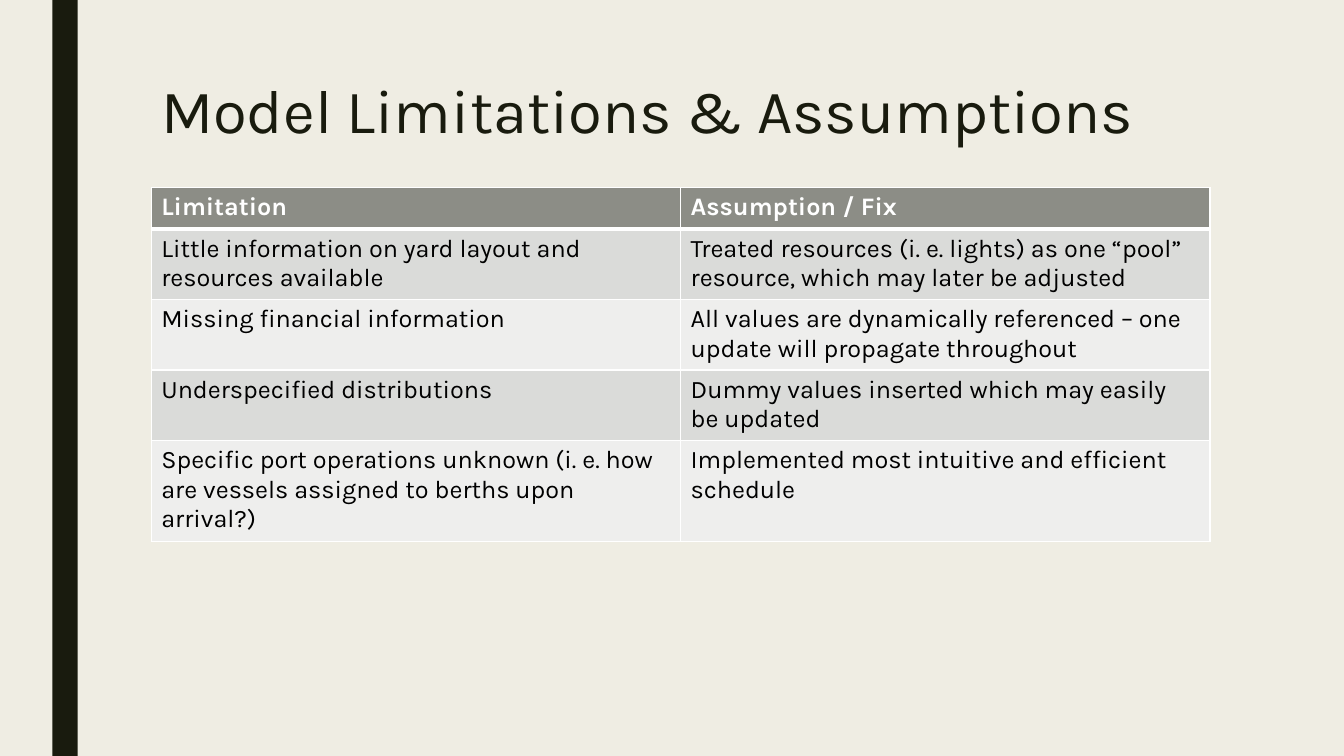
from dataclasses import dataclass

from lxml.etree import SubElement
from pptx import Presentation
from pptx.dml.color import RGBColor as RGB
from pptx.enum.shapes import MSO_SHAPE as Shape
from pptx.enum.text import MSO_ANCHOR as Anchor
from pptx.oxml.ns import qn
from pptx.util import Inches, Pt


@dataclass(frozen=True)
class Theme:
    font: str = "Karla"
    title_size: int = 44
    table_size: int = 18
    background: str = "EFEDE3"
    dark: str = "191B0E"
    header: str = "8C8D86"
    bands: tuple = ("DADBD9", "EEEEED")
    border: str = "FFFFFF"
    header_text: str = "FFFFFF"
    body_text: str = "000000"


THEME = Theme()

ROWS = [
    ("Limitation", "Assumption / Fix"),
    ("Little information on yard layout and resources available",
     "Treated resources (i. e. lights) as one “pool” resource, which may later be adjusted"),
    ("Missing financial information",
     "All values are dynamically referenced – one update will propagate throughout"),
    ("Underspecified distributions",
     "Dummy values inserted which may easily be updated"),
    ("Specific port operations unknown (i. e. how are vessels assigned to berths upon arrival?)",
     "Implemented most intuitive and efficient schedule"),
]


def style_text(tf, size, color, bold=False):
    for p in tf.paragraphs:
        for r in p.runs:
            r.font.name = THEME.font
            r.font.size = Pt(size)
            r.font.bold = bold
            r.font.color.rgb = RGB.from_string(color)


def add_side_bar(s):
    bar = s.shapes.add_shape(Shape.RECTANGLE, Inches(0.52), 0, Inches(0.25), Inches(7.5))
    bar.shadow.inherit = False
    bar.fill.solid()
    bar.fill.fore_color.rgb = RGB.from_string(THEME.dark)
    bar.line.fill.background()


def add_title(s, text):
    box = s.shapes.add_textbox(Inches(1.5), Inches(0.75), Inches(10.5), Inches(1.62))
    tf = box.text_frame
    tf.word_wrap = True
    tf.vertical_anchor = Anchor.TOP
    tf.text = text
    tf.paragraphs[0].line_spacing = 0.89
    style_text(tf, THEME.title_size, THEME.dark)


def set_borders(cell, **widths):
    """Draw the cell's edges (L, R, T, B) at the given widths in points."""
    tc_pr = cell._tc.get_or_add_tcPr()
    for side, width in widths.items():
        ln = SubElement(tc_pr, qn(f"a:ln{side}"), w=str(Pt(width)))
        fill = SubElement(ln, qn("a:solidFill"))
        SubElement(fill, qn("a:srgbClr"), val=THEME.border)


def add_table(s, rows):
    """Add a table with a bold header row and banded body rows."""
    row_height = Inches(0.41)
    frame = s.shapes.add_table(len(rows), len(rows[0]), Inches(1.5), Inches(1.86),
                               Inches(10.5), row_height * len(rows))
    table = frame.table
    for i, texts in enumerate(rows):
        is_header = i == 0
        fill = THEME.header if is_header else THEME.bands[(i - 1) % 2]
        color = THEME.header_text if is_header else THEME.body_text
        for j, text in enumerate(texts):
            cell = table.cell(i, j)
            cell.text_frame.text = text
            style_text(cell.text_frame, THEME.table_size, color, bold=is_header)
            set_borders(cell, L=1, R=1, T=3 if i == 1 else 1, B=3 if is_header else 1)
            cell.fill.solid()
            cell.fill.fore_color.rgb = RGB.from_string(fill)


def main():
    prs = Presentation()
    prs.slide_width, prs.slide_height = Inches(13.33), Inches(7.5)
    s = prs.slides.add_slide(prs.slide_layouts[6])
    s.background.fill.solid()
    s.background.fill.fore_color.rgb = RGB.from_string(THEME.background)
    add_side_bar(s)
    add_title(s, "Model Limitations & Assumptions")
    add_table(s, ROWS)
    prs.save("out.pptx")


if __name__ == "__main__":
    main()
